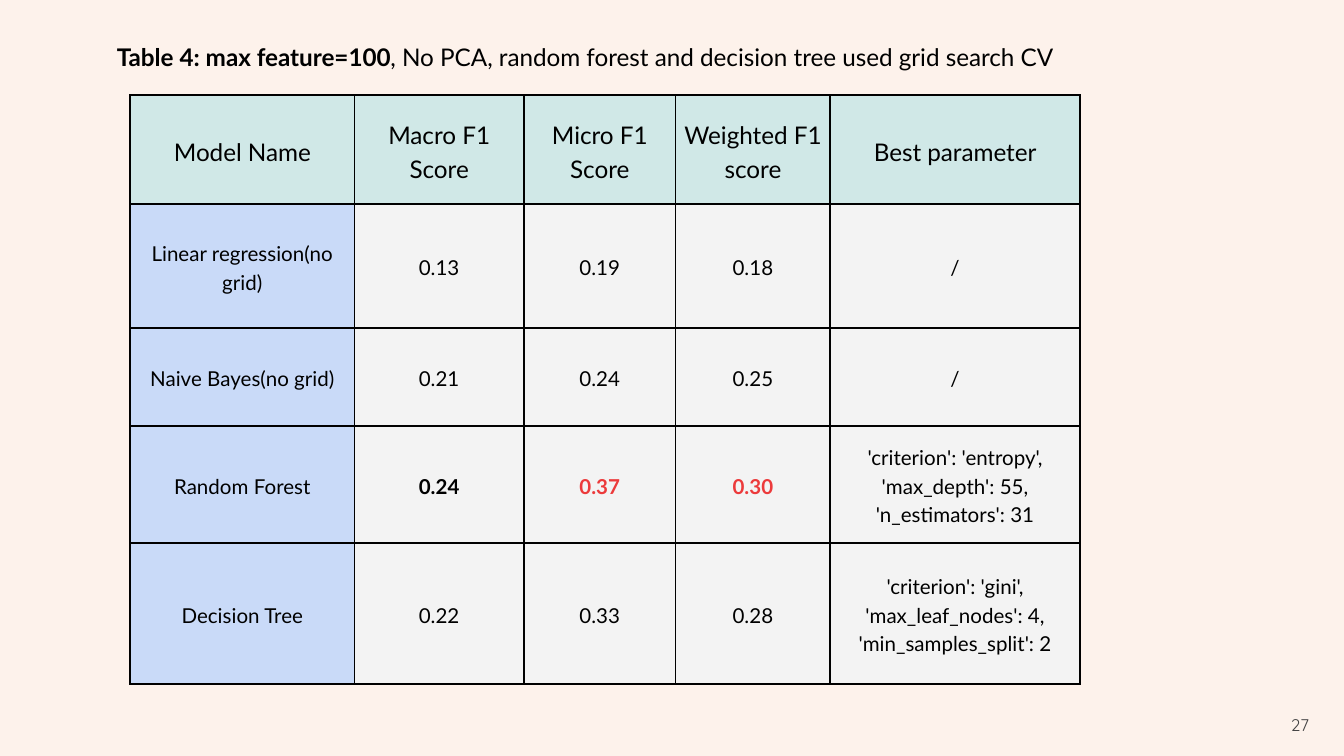
from lxml.etree import SubElement
from pptx import Presentation
from pptx.dml.color import RGBColor
from pptx.enum.text import MSO_ANCHOR as Anchor, PP_ALIGN as Align
from pptx.oxml.ns import qn
from pptx.util import Cm, Pt

BLACK, RED, GREY = "000000", "EC3A3B", "424242"
CREAM, MINT, BLUE, PALE = "FDF2EB", "D0E8E7", "C9DAF8", "F3F3F3"
COL_WIDTHS = [4.24, 3.2, 2.87, 2.92, 4.72]
ROW_HEIGHTS = [2.06, 2.34, 1.85, 2.21, 2.67]
ROWS = [
    ["Model Name", "Macro F1 Score", "Micro F1 Score", "Weighted F1 score", "Best parameter"],
    ["Linear regression(no grid)", "0.13", "0.19", "0.18", "/"],
    ["Naive Bayes(no grid)", "0.21", "0.24", "0.25", "/"],
    ["Random Forest", "0.24", "0.37", "0.30",
     "'criterion': 'entropy', 'max_depth': 55, 'n_estimators': 31"],
    ["Decision Tree", "0.22", "0.33", "0.28",
     "'criterion': 'gini', 'max_leaf_nodes': 4, 'min_samples_split': 2"],
]
BEST_SCORES = {(3, 1): BLACK, (3, 2): RED, (3, 3): RED}


def rgb(value):
    """Turn a hex string into a colour."""
    return RGBColor.from_string(value)


def add_run(p, text, size, color=BLACK, bold=False, font="Lato"):
    """Append one formatted run to a paragraph."""
    r = p.add_run()
    r.text = text
    r.font.name = font
    r.font.size = Pt(size)
    r.font.bold = bold
    r.font.color.rgb = rgb(color)


def add_text(slide, left, top, width, height, align=Align.LEFT, spacing=1.0):
    """Add a middle-anchored text box and return its paragraph."""
    box = slide.shapes.add_textbox(Cm(left), Cm(top), Cm(width), Cm(height))
    tf = box.text_frame
    tf.word_wrap = True
    tf.vertical_anchor = Anchor.MIDDLE
    tf.margin_left = tf.margin_right = tf.margin_top = tf.margin_bottom = Cm(0.25)
    p = tf.paragraphs[0]
    p.alignment = align
    p.line_spacing = spacing
    return p


def set_borders(cell, color=BLACK, width=1):
    """Draw a solid line on all four sides of a cell."""
    tc_pr = cell._tc.get_or_add_tcPr()
    for side in ("a:lnL", "a:lnR", "a:lnT", "a:lnB"):
        ln = SubElement(tc_pr, qn(side), w=str(Pt(width)))
        fill = SubElement(ln, qn("a:solidFill"))
        SubElement(fill, qn("a:srgbClr"), val=color)


def fill_cell(cell, text, size, fill, color, bold):
    """Style a table cell and write its centred text."""
    set_borders(cell)
    cell.fill.solid()
    cell.fill.fore_color.rgb = rgb(fill)
    cell.vertical_anchor = Anchor.MIDDLE
    cell.margin_left = cell.margin_right = cell.margin_top = cell.margin_bottom = Cm(0.16)
    p = cell.text_frame.paragraphs[0]
    p.alignment = Align.CENTER
    p.line_spacing = 1.15
    add_run(p, text, size, color, bold)


def add_score_table(slide, left, top):
    """Add the table of model scores."""
    table = slide.shapes.add_table(
        len(ROWS), len(COL_WIDTHS), Cm(left), Cm(top),
        Cm(sum(COL_WIDTHS)), Cm(sum(ROW_HEIGHTS))).table
    for column, width in zip(table.columns, COL_WIDTHS):
        column.width = Cm(width)
    for row, height in zip(table.rows, ROW_HEIGHTS):
        row.height = Cm(height)
    for i, texts in enumerate(ROWS):
        for j, text in enumerate(texts):
            fill = MINT if i == 0 else BLUE if j == 0 else PALE
            fill_cell(table.cell(i, j), text, 13 if i == 0 else 11, fill,
                      BEST_SCORES.get((i, j), BLACK), (i, j) in BEST_SCORES)


def main():
    """Build and save the slide."""
    prs = Presentation()
    prs.slide_width, prs.slide_height = Cm(25.4), Cm(14.29)
    slide = prs.slides.add_slide(prs.slide_layouts[6])
    slide.background.fill.solid()
    slide.background.fill.fore_color.rgb = rgb(CREAM)

    title = add_text(slide, 1.96, -0.23, 21.36, 2.54, spacing=1.15)
    add_run(title, "Table 4: max feature=100", 13, bold=True)
    add_run(title, ", No PCA, random forest and decision tree used grid search CV", 13)
    add_score_table(slide, 2.46, 1.8)
    number = add_text(slide, 23.47, 13.16, 1.52, 1.09, Align.RIGHT)
    add_run(number, "27", 9, GREY, font="Quicksand")

    prs.save("out.pptx")


if __name__ == "__main__":
    main()
